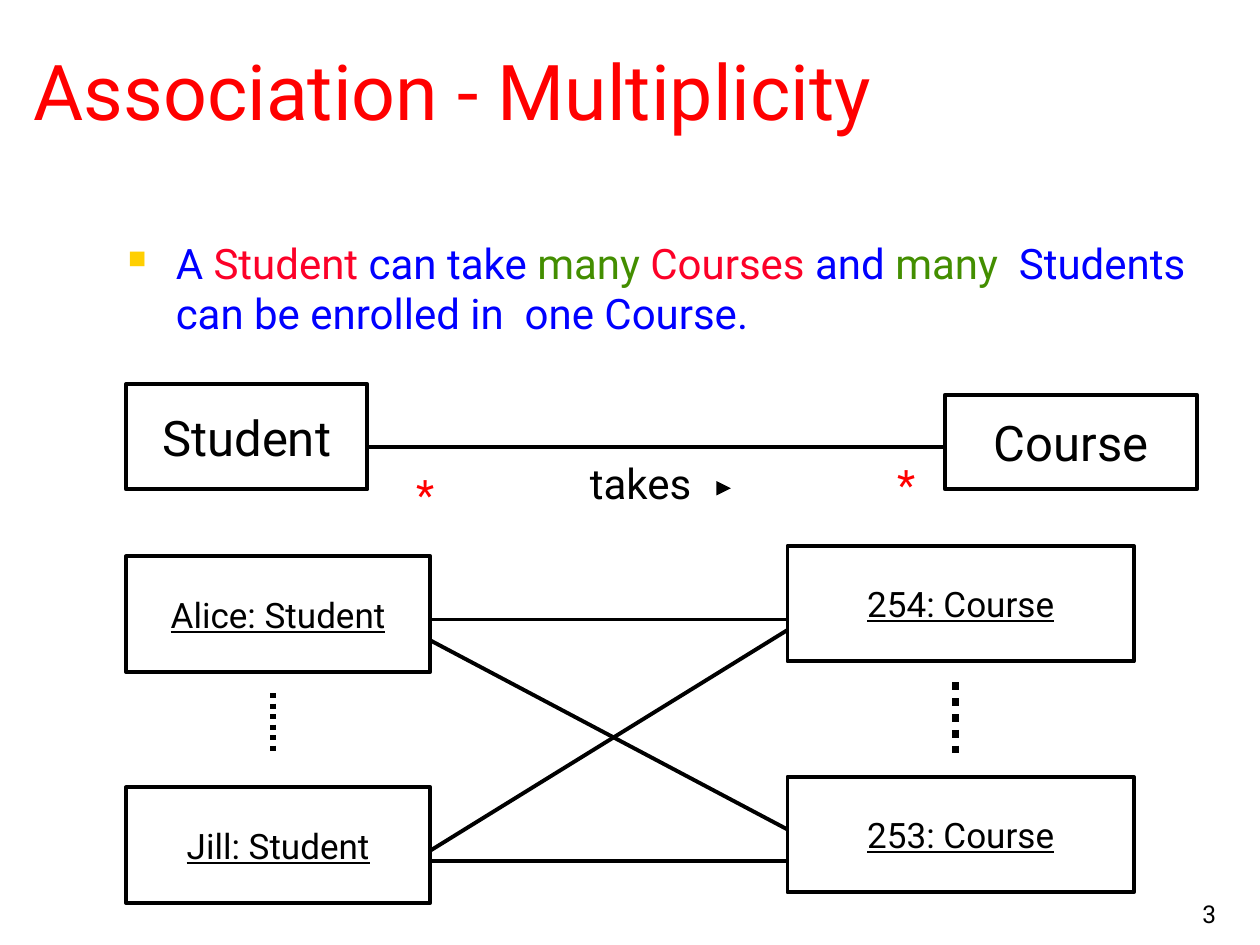
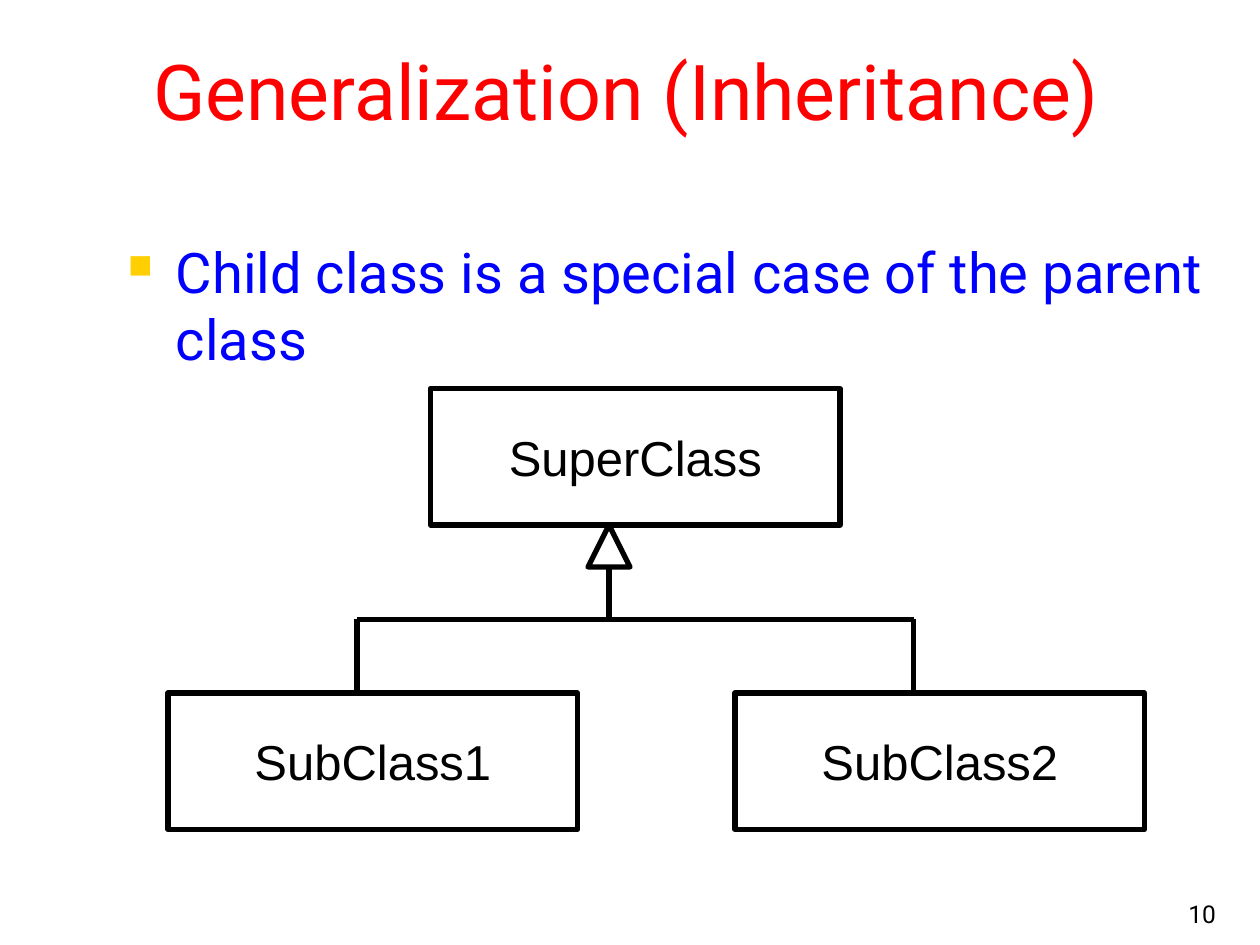
from lxml import etree
from pptx import Presentation
from pptx.dml.color import RGBColor
from pptx.enum.dml import MSO_LINE
from pptx.enum.shapes import MSO_CONNECTOR, MSO_SHAPE
from pptx.enum.text import MSO_ANCHOR, PP_ALIGN
from pptx.oxml.ns import qn
from pptx.util import Inches, Pt

LEFT, CENTER, RIGHT = PP_ALIGN.LEFT, PP_ALIGN.CENTER, PP_ALIGN.RIGHT
TOP, MIDDLE, BOTTOM = MSO_ANCHOR.TOP, MSO_ANCHOR.MIDDLE, MSO_ANCHOR.BOTTOM
RECT, TRIANGLE = MSO_SHAPE.RECTANGLE, MSO_SHAPE.ISOSCELES_TRIANGLE
STRAIGHT, DOTTED = MSO_CONNECTOR.STRAIGHT, MSO_LINE.ROUND_DOT
COLORS = {
    "title": "FF0000", "body": "0000FF", "class": "FC0128",
    "many": "438E00", "bullet": "FFCF01", "ink": "000000", "paper": "FFFFFF",
}
RGB = {name: RGBColor.from_string(value) for name, value in COLORS.items()}
UNIT = Inches(1) / 12  # grid of 12 columns and rows to the inch


def write(shape, runs, align=LEFT, anchor=TOP, wrap=True, **font):
    """Fill a shape with one paragraph of (text, colour) runs."""
    frame = shape.text_frame
    frame.word_wrap, frame.vertical_anchor = wrap, anchor
    paragraph = frame.paragraphs[0]
    paragraph.alignment = align
    for text, color in runs:
        run = paragraph.add_run()
        run.text = text
        run.font.color.rgb = RGB[color]
        for name, value in font.items():
            setattr(run.font, name, value)
    return paragraph


def place(*lengths):
    """Turn grid units into slide lengths."""
    return [round(length * UNIT) for length in lengths]


# Content: places in grid units, lines as (x1, y1, x2, y2, width, dash, arrow)
object_font = {"size": Pt(20), "name": "Roboto", "underline": True}
class_font = {"size": Pt(28), "name": "Roboto"}
hierarchy_font = {"size": Pt(28), "name": "Arial"}
SLIDES = [
    {
        "title": "Association - Multiplicity", "align": LEFT, "number": "3",
        "size": 24, "before": 6, "outline": 2.25,
        "statement": [
            ("A ", "body"), ("Student ", "class"), ("can take ", "body"),
            ("many ", "many"), ("Courses ", "class"), ("and ", "body"),
            ("many", "many"),
            ("  Students can be enrolled in  one Course.", "body"),
        ],
        "boxes": [
            (RECT, "Student", (12, 36.6, 23, 10), class_font),
            (RECT, "Course", (90, 37.6, 24, 9), class_font),
            (RECT, "Alice: Student", (12, 53, 29, 11), object_font),
            (RECT, "Jill: Student", (12, 75, 29, 11), object_font),
            (RECT, "254: Course", (75, 52, 33, 11), object_font),
            (RECT, "253: Course", (75, 74, 33, 11), object_font),
        ],
        "lines": [
            (35, 42.6, 90, 42.6, 2.25, None, False),
            (69, 46.5, 69.6, 46.5, 2.75, None, True),
            (26, 66, 26, 72, 3, DOTTED, False),
            (91, 65, 91, 72, 4.5, DOTTED, False),
            (41, 59, 75, 59, 2.25, None, False),
            (41, 81, 75, 60, 2.25, None, False),
            (41, 61, 75, 79, 2.25, None, False),
            (41, 82, 75, 82, 2.25, None, False),
        ],
        "labels": [
            ("takes", "ink", (55, 43, 12.5, 6), LEFT),
            ("*", "title", (37.9, 44, 5.2, 6), CENTER),
            ("*", "title", (84, 43.1, 4.6, 6), CENTER),
        ],
    },
    {
        "title": "Generalization (Inheritance)", "align": CENTER, "number": "10",
        "size": 32, "before": 8, "outline": 3,
        "statement": [
            ("Child class is a special case of the parent class", "body"),
        ],
        "boxes": [
            (RECT, "SuperClass", (41, 37, 39, 13), hierarchy_font),
            (RECT, "SubClass1", (16, 66, 39, 13), hierarchy_font),
            (RECT, "SubClass2", (70, 66, 39, 13), hierarchy_font),
            (TRIANGLE, "", (56, 50, 4, 4), hierarchy_font),
        ],
        "lines": [
            (34, 66, 34, 59, 3, None, False),
            (34, 59, 87, 59, 3, None, False),
            (87, 59, 87, 66, 3, None, False),
            (58, 59, 58, 54, 3, None, False),
        ],
        "labels": [],
    },
]

prs = Presentation()
prs.slide_width, prs.slide_height = Inches(10), Inches(7.5)

for content in SLIDES:
    slide = prs.slides.add_slide(prs.slide_layouts[5])
    shapes = slide.shapes

    # Title
    title = shapes.title
    title.left, title.top, title.width, title.height = place(2, 2, 115.3, 13)
    write(title, [(content["title"], "title")], content["align"], MIDDLE,
          size=Pt(44), name="Roboto")

    # Bulleted statement
    body = shapes.add_textbox(*place(11, 22, 106, 58.4))
    statement = write(body, content["statement"],
                      size=Pt(content["size"]), name="Roboto")
    statement.space_before = Pt(content["before"])
    properties = statement._p.get_or_add_pPr()
    properties.set("marL", str(Inches(0.38)))
    properties.set("indent", str(-Inches(0.38)))
    bullet_color = etree.SubElement(properties, qn("a:buClr"))
    etree.SubElement(bullet_color, qn("a:srgbClr"), val=COLORS["bullet"])
    etree.SubElement(properties, qn("a:buSzPct"), val="60000")
    etree.SubElement(properties, qn("a:buChar"), char="■")

    # Classes and objects
    for outline, text, area, font in content["boxes"]:
        box = shapes.add_shape(outline, *place(*area))
        box.shadow.inherit = False
        box.fill.solid()
        box.fill.fore_color.rgb = RGB["paper"]
        box.line.color.rgb = RGB["ink"]
        box.line.width = Pt(content["outline"])
        if text:
            write(box, [(text, "ink")], CENTER, MIDDLE, False, **font)

    # Associations and inheritance lines
    for *ends, width, dash, arrow in content["lines"]:
        link = shapes.add_connector(STRAIGHT, *place(*ends))
        link.line.color.rgb = RGB["ink"]
        link.line.width = Pt(width)
        if dash:
            link.line.dash_style = dash
        if arrow:
            etree.SubElement(link.line._get_or_add_ln(), qn("a:tailEnd"),
                             type="triangle")
        etree.SubElement(link._element.spPr, qn("a:effectLst"))

    # Association name and multiplicities
    for text, color, area, align in content["labels"]:
        label = shapes.add_textbox(*place(*area))
        write(label, [(text, color)], align, size=Pt(24), name="Roboto")

    # Slide number
    number = shapes.add_textbox(*place(92, 83, 25, 6))
    write(number, [(content["number"], "ink")], RIGHT, BOTTOM,
          size=Pt(14), name="Roboto")

prs.save("out.pptx")
